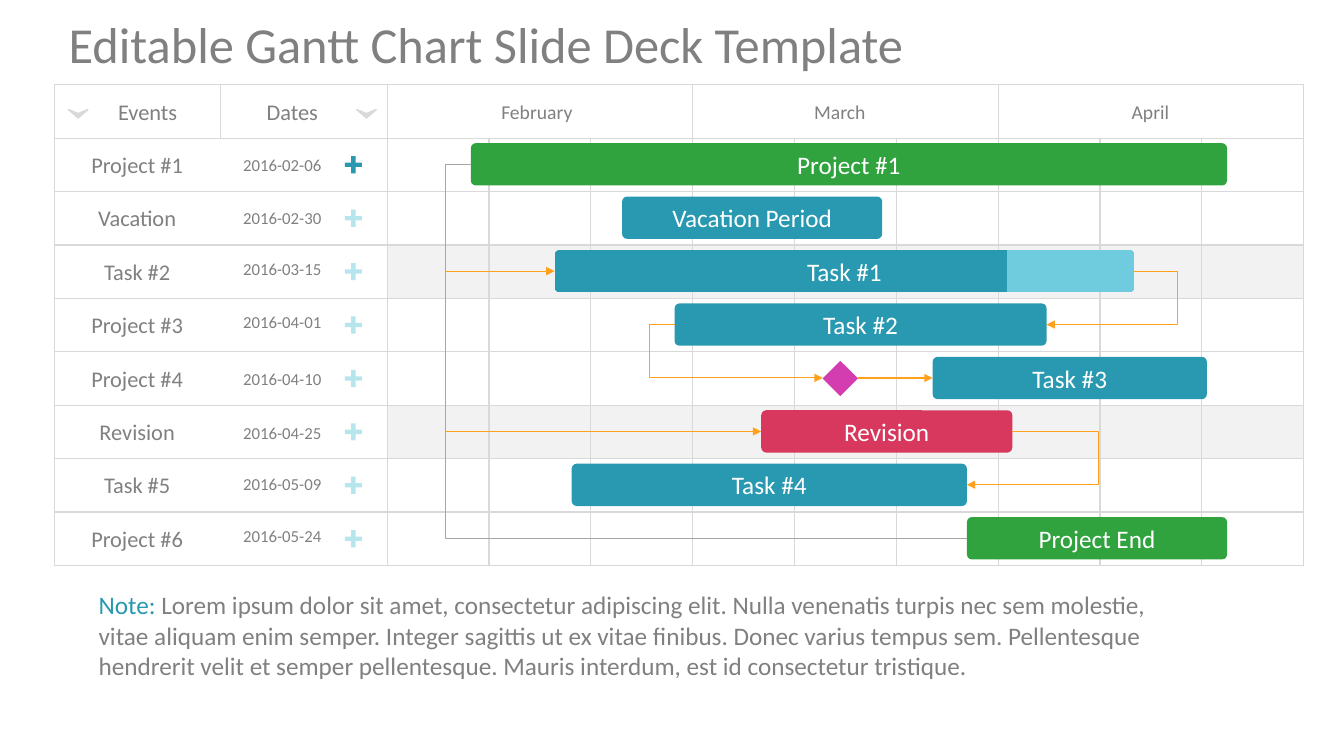
from lxml.etree import SubElement
from pptx import Presentation
from pptx.dml.color import RGBColor
from pptx.enum.shapes import MSO_CONNECTOR, MSO_SHAPE
from pptx.enum.text import MSO_ANCHOR, MSO_AUTO_SIZE, PP_ALIGN
from pptx.oxml.ns import qn
from pptx.util import Inches, Pt

COLORS = {
    "text": "808080", "white": "FFFFFF", "border": "D9D9D9", "band": "F2F2F2",
    "teal": "2899B0", "light": "6FCCDE", "green": "30A23E", "red": "D8385E",
    "magenta": "D33DAF", "orange": "FFA11D", "link": "A6A6A6",
}
TITLE = "Editable Gantt Chart Slide Deck Template"
NOTE = [
    ("Note: ", "teal"),
    ("Lorem ipsum dolor sit amet, consectetur adipiscing elit. Nulla venenatis turpis nec sem "
     "molestie, vitae aliquam enim semper. Integer sagittis ut ex vitae finibus. Donec varius "
     "tempus sem. Pellentesque hendrerit velit et semper pellentesque. Mauris interdum, est id "
     "consectetur tristique.", "text"),
]
HEADERS = [
    ("Events", 0.75, 0.92, 1.43, 0.37, 16),
    ("Dates", 2.18, 0.92, 1.44, 0.37, 16),
    ("February", 3.82, 0.94, 3.01, 0.34, 14),
    ("March", 6.83, 0.94, 3, 0.34, 14),
    ("April", 9.92, 0.94, 2.98, 0.34, 14),
]
EVENTS = [
    ("Project #1", "2016-02-06", 1.49), ("Vacation", "2016-02-30", 2.01),
    ("Task #2", "2016-03-15", 2.52), ("Project #3", "2016-04-01", 3.04),
    ("Project #4", "2016-04-10", 3.61), ("Revision", "2016-04-25", 4.14),
    ("Task #5", "2016-05-09", 4.65), ("Project #6", "2016-05-24", 5.17),
]
BARS = [
    ("Project #1", 4.67, 7.5, "green"), ("Vacation Period", 6.17, 2.58, "teal"),
    ("Task #1", 5.5, 5.75, "split"), ("Task #2", 6.69, 3.69, "teal"),
    ("Task #3", 9.25, 2.72, "teal"), ("Revision", 7.55, 2.49, "red"),
    ("Task #4", 5.67, 3.92, "teal"), ("Project End", 9.59, 2.58, "green"),
]
ELBOWS = [
    (4.67, 0, 9.59, 7, 4.42, "link", False),
    (11.25, 2, 10.38, 3, 11.68, "orange", True),
    (6.69, 3, 8.16, 4, 6.44, "orange", True),
    (10.04, 5, 9.59, 6, 10.9, "orange", True),
]
ARROWS = [(4.42, 5.5, 2), (4.42, 7.55, 5), (8.51, 9.25, 4)]
CHEVRON = [(0.775, 1.18), (0.88, 1.09), (0.87, 1.08), (0.775, 1.12), (0.68, 1.08), (0.67, 1.09)]
CHEVRON_SHIFTS = [0, 2.86]
TABLE_LEFT, TABLE_TOP, PITCH = 0.54, 0.84, 0.53
COLUMNS = [1.65] * 2 + [1.01] * 9
BAND_ROWS = (3, 6)
FIRST_CENTER, BAR_HEIGHT = 1.63, 0.42


def rgb(name):
    return RGBColor.from_string(COLORS[name])


def row_center(row):
    return FIRST_CENTER + PITCH * row


def box(left, top, width, height):
    return [Inches(value) for value in (left, top, width, height)]


def write(shape, runs, size, align=PP_ALIGN.CENTER, **frame_format):
    frame = shape.text_frame
    for name, value in {"word_wrap": True, **frame_format}.items():
        setattr(frame, name, value)
    paragraph = frame.paragraphs[0]
    paragraph.alignment = align
    for text, color in runs:
        run = paragraph.add_run()
        run.text = text
        for name, value in {"name": "Calibri", "size": Pt(size)}.items():
            setattr(run.font, name, value)
        run.font.color.rgb = rgb(color)


def add_label(slide, area, runs, size, align=PP_ALIGN.CENTER):
    write(slide.shapes.add_textbox(*box(*area)), runs, size, align,
          auto_size=MSO_AUTO_SIZE.SHAPE_TO_FIT_TEXT)


def paint(shape, color):
    shape.shadow.inherit = False
    shape.line.fill.background()
    if color == "split":
        shape.fill.gradient()
        shape.fill.gradient_angle = 0
        for stop, name in zip(shape.fill.gradient_stops, ("teal", "light")):
            stop.position = 0.78
            stop.color.rgb = rgb(name)
    else:
        shape.fill.solid()
        shape.fill.fore_color.rgb = rgb(color)


def add_preset(slide, kind, area, color, adjustment=None):
    shape = slide.shapes.add_shape(kind, *box(*area))
    if adjustment is not None:
        shape.adjustments[0] = adjustment
    paint(shape, color)
    return shape


def add_link(slide, kind, start, end, color, arrow):
    points = [Inches(value) for value in (*start, *end)]
    link = slide.shapes.add_connector(kind, *points)
    link.line.color.rgb = rgb(color)
    link.line.width = Pt(0.75)
    properties = link._element.spPr
    if arrow:
        SubElement(properties.find(qn("a:ln")), qn("a:tailEnd"), type="triangle")
    SubElement(properties, qn("a:effectLst"))
    return link


def add_grid(slide):
    rows = len(EVENTS) + 1
    frame = slide.shapes.add_table(
        rows, len(COLUMNS), *box(TABLE_LEFT, TABLE_TOP, sum(COLUMNS), PITCH * rows))
    table = frame.table
    table.first_row = table.horz_banding = False
    for column, width in zip(table.columns, COLUMNS):
        column.width = Inches(width)
    for row_index, row in enumerate(table.rows):
        row.height = Inches(PITCH)
        for column_index, cell in enumerate(row.cells):
            properties = cell._tc.get_or_add_tcPr()
            for side in ("lnL", "lnR", "lnT", "lnB"):
                border = SubElement(properties, qn("a:" + side), w=str(Pt(1)))
                fill = SubElement(border, qn("a:solidFill"))
                SubElement(fill, qn("a:srgbClr"), val=COLORS["border"])
            banded = row_index in BAND_ROWS and column_index > 1
            cell.fill.solid()
            cell.fill.fore_color.rgb = rgb("band" if banded else "white")
    for first in (2, 5, 8):
        table.cell(0, first).merge(table.cell(0, first + 2))
    for row_index in range(1, rows):
        table.cell(row_index, 0).merge(table.cell(row_index, 1))


def add_events(slide):
    for row, (event, date, date_top) in enumerate(EVENTS):
        center = row_center(row)
        add_label(slide, (0.54, center - 0.18, 1.64, 0.37), [(event, "text")], 16)
        add_label(slide, (2.18, date_top, 1.24, 0.3), [(date, "text")], 12)
        plus = add_preset(slide, MSO_SHAPE.CROSS, (3.42, center - 0.08, 0.17, 0.17),
                          "light" if row else "teal", 0.375)
        if row:
            color = plus._element.spPr.find(qn("a:solidFill")).find(qn("a:srgbClr"))
            SubElement(color, qn("a:alpha"), val="50000")


def add_schedule(slide):
    for row, (name, left, width, color) in enumerate(BARS):
        area = (left, row_center(row) - BAR_HEIGHT / 2, width, BAR_HEIGHT)
        bar = add_preset(slide, MSO_SHAPE.ROUNDED_RECTANGLE, area, color, 0.119)
        write(bar, [(name, "white")], 18, vertical_anchor=MSO_ANCHOR.MIDDLE)
    for left, first, right, last, bend, color, arrow in ELBOWS:
        link = add_link(slide, MSO_CONNECTOR.ELBOW, (left, row_center(first)),
                        (right, row_center(last)), color, arrow)
        guides = link._element.spPr.find(qn("a:prstGeom")).find(qn("a:avLst"))
        ratio = round((bend - left) / (right - left) * 100000)
        SubElement(guides, qn("a:gd"), name="adj1", fmla=f"val {ratio}")
    for left, right, row in ARROWS:
        center = row_center(row)
        add_link(slide, MSO_CONNECTOR.STRAIGHT, (left, center), (right, center), "orange", True)
    add_preset(slide, MSO_SHAPE.DIAMOND, (8.16, 3.58, 0.35, 0.35), "magenta")


def main():
    presentation = Presentation()
    presentation.slide_width, presentation.slide_height = Inches(13.33), Inches(7.5)
    slide = presentation.slides.add_slide(presentation.slide_layouts[5])
    title = slide.shapes.title
    title.left, title.top, title.width, title.height = box(0.55, 0.04, 12, 0.78)
    write(title, [(TITLE, "text")], 36, PP_ALIGN.LEFT, vertical_anchor=MSO_ANCHOR.MIDDLE,
          margin_left=Inches(0.13), margin_right=Inches(0.13),
          margin_top=Inches(0.07), margin_bottom=Inches(0.07))
    add_grid(slide)
    for text, left, top, width, height, size in HEADERS:
        add_label(slide, (left, top, width, height), [(text, "text")], size)
    for shift in CHEVRON_SHIFTS:
        points = [(Inches(x + shift), Inches(y)) for x, y in CHEVRON]
        builder = slide.shapes.build_freeform(*points[0])
        builder.add_line_segments(points[1:])
        paint(builder.convert_to_shape(), "border")
    add_events(slide)
    add_schedule(slide)
    add_label(slide, (0.88, 5.8, 11.09, 1.01), NOTE, 18, PP_ALIGN.LEFT)
    presentation.save("out.pptx")


if __name__ == "__main__":
    main()
